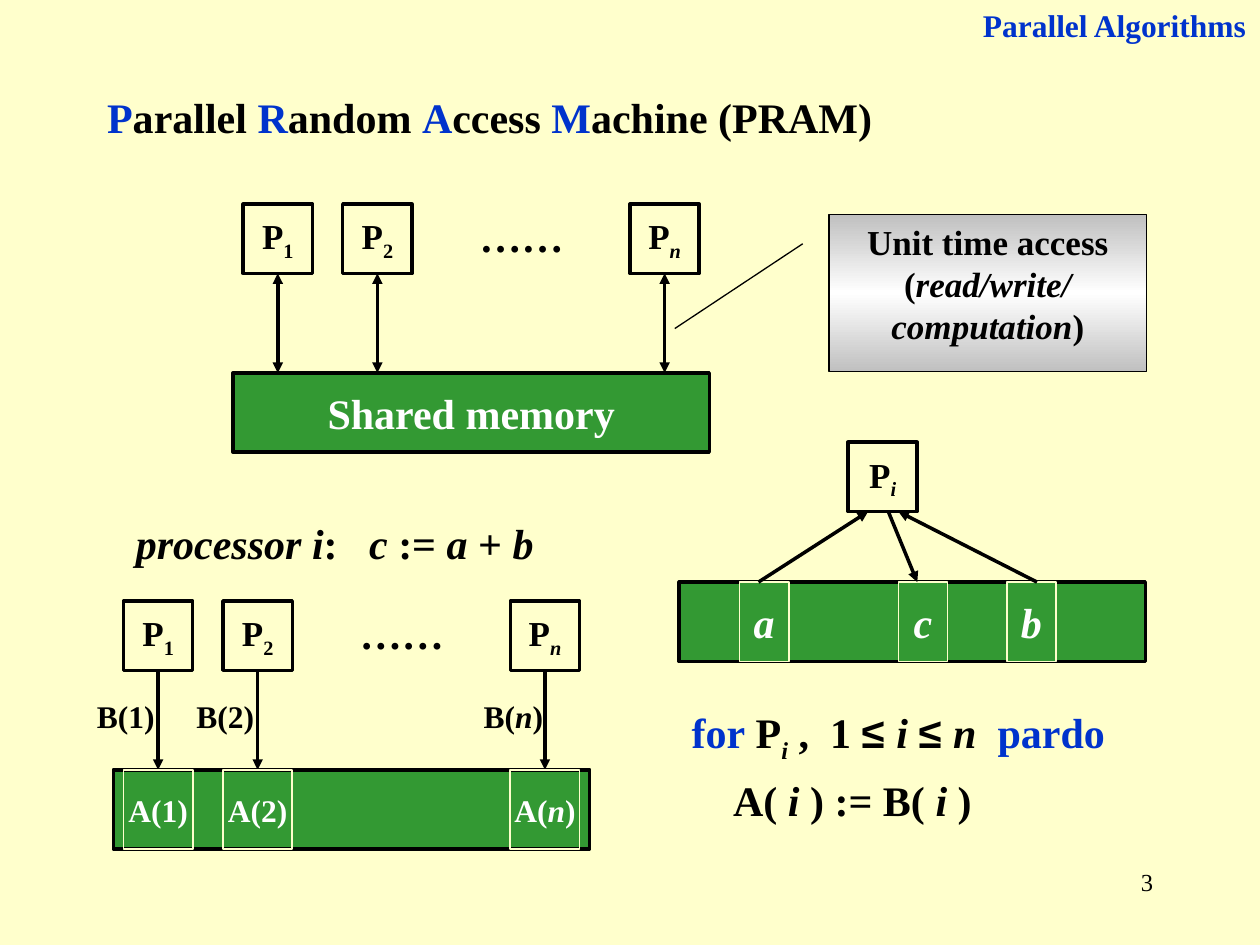
from copy import deepcopy
from dataclasses import dataclass

from lxml import etree
from pptx import Presentation
from pptx.dml.color import RGBColor
from pptx.enum import shapes, text
from pptx.oxml import ns
from pptx.util import Inches, Pt


@dataclass(frozen=True)
class Theme:
    """Colours, fonts and sizes of the slide."""
    paper: str = "FFFFCC"
    ink: str = "000000"
    key: str = "0033CC"
    memory: str = "339933"
    white: str = "FFFFFF"
    silver: str = "C0C0C0"
    font: str = "Times New Roman"
    math_font: str = "Arial"
    large: int = 24
    medium: int = 20
    small: int = 18
    number: int = 14
    thick: float = 2
    thin: float = 1
    hair: float = 0.75


T = Theme()
LEFT, CENTER, RIGHT = (text.PP_ALIGN.LEFT, text.PP_ALIGN.CENTER,
                       text.PP_ALIGN.RIGHT)
RECT = shapes.MSO_SHAPE.RECTANGLE

# Runs are (text, marks): i italic, s subscript, k key colour, m math font.
HEADER = [[("Parallel Algorithms", "k")]]
NUMBER = [[("3", "")]]
TITLE = [[("P", "k"), ("arallel ", ""), ("R", "k"), ("andom ", ""),
          ("A", "k"), ("ccess ", ""), ("M", "k"), ("achine (PRAM)", "")]]
CALLOUT = [[("Unit time access", "")],
           [("(", ""), ("read/write/", "i")],
           [("computation", "i"), (")", "")]]
STEP = [[("processor i", "i"), (":", ""), ("   c ", "i"), (":=", ""),
         (" a ", "i"), ("+", ""), (" b", "i")]]
LOOP = [[("for", "k"), (" P", ""), ("i", "is"), (" ,  1 ", ""), ("≤ ", "m"),
         ("i ", "i"), ("≤ ", "m"), ("n  ", "i"), ("pardo", "k")],
        [("A( ", ""), ("i ", "i"), (") := B( ", ""), ("i", "i"), (" )", "")]]
PROCESSORS = [("1", "", 0), ("2", "", 0.79), ("n", "i", 3.07)]  # index, marks, dx
# variable, cell left, arrow start, arrow end
VARIABLES = [("a", 5.87, (6.02, 4.62), (6.89, 4.06)),
             ("b", 7.99, (8.23, 4.62), (7.13, 4.06)),
             ("c", 7.13, (7.05, 4.06), (7.28, 4.62))]

BOX, MEM_W, MEM_H, MEM_DY = 0.55, 3.78, 0.63, 1.34

prs = Presentation()
prs.slide_width, prs.slide_height = Inches(10), Inches(7.5)
slide = prs.slides.add_slide(prs.slide_layouts[5])
slide.background.fill.solid()
slide.background.fill.fore_color.rgb = RGBColor.from_string(T.paper)


def write(s, paragraphs, size, color=T.ink, align=LEFT, bold=True,
          anchor=text.MSO_ANCHOR.TOP, wrap=True, before=0):
    """Fill a shape with paragraphs made of marked runs."""
    tf = s.text_frame
    tf.word_wrap, tf.vertical_anchor = wrap, anchor
    tf.auto_size = text.MSO_AUTO_SIZE.NONE
    for n, runs in enumerate(paragraphs):
        p = tf.add_paragraph() if n else tf.paragraphs[0]
        p.alignment, p.space_before = align, Pt(before)
        for words, marks in runs:
            r = p.add_run()
            r.text = words
            f = r.font
            f.name = T.math_font if "m" in marks else T.font
            f.size, f.bold, f.italic = Pt(size), bold, "i" in marks
            f.color.rgb = RGBColor.from_string(T.key if "k" in marks else color)
            if "s" in marks:
                r._r.get_or_add_rPr().set("baseline", "-25000")


def label(at, paragraphs, size, **style):
    """Add a text box."""
    s = slide.shapes.add_textbox(*map(Inches, at))
    write(s, paragraphs, size, **style)
    return s


def box(at, fill=None, line=T.ink, width=T.thick, kind=RECT):
    """Add an outlined shape, filled if a colour is given."""
    s = slide.shapes.add_shape(kind, *map(Inches, at))
    s.shadow.inherit = False
    if fill:
        s.fill.solid()
        s.fill.fore_color.rgb = RGBColor.from_string(fill)
    else:
        s.fill.background()
    s.line.color.rgb = RGBColor.from_string(line)
    s.line.width = Pt(width)
    return s


def middle(s, runs, size, color=T.ink):
    """Centre one line of text in a shape."""
    write(s, [runs], size, color, CENTER, anchor=text.MSO_ANCHOR.MIDDLE,
          wrap=False)


def processor(x, y, index, marks):
    """Add a processor box with its subscript."""
    middle(box((x, y, BOX, BOX)), [("P", ""), (index, marks + "s")], T.medium)


def arrow(start, end, both=False):
    """Add an arrow pointing at its end, or at both ends."""
    s = slide.shapes.add_connector(shapes.MSO_CONNECTOR.STRAIGHT,
                                   *map(Inches, start + end))
    s.line.color.rgb = RGBColor.from_string(T.ink)
    s.line.width = Pt(T.thick)
    ln = s.line._get_or_add_ln()
    for tag in ("a:headEnd", "a:tailEnd")[0 if both else 1:]:
        etree.SubElement(ln, ns.qn(tag), type="triangle")
    etree.SubElement(s._element.spPr, ns.qn("a:effectLst"))


def machine(x, y, both):
    """Add a row of processors over a memory bar; return the bar."""
    bar = box((x - 0.08, y + MEM_DY, MEM_W, MEM_H), T.memory)
    label((x + 1.58, y, 1.26, 0.5), [[("……", "")]], T.large, align=CENTER)
    for index, marks, dx in PROCESSORS:
        processor(x + dx, y, index, marks)
        mid = x + dx + BOX / 2
        arrow((mid, y + BOX), (mid, y + MEM_DY), both)
    return bar


def callout(at, paragraphs):
    """Add the callout with a silver and white gradient."""
    s = box(at, T.white, width=T.hair, kind=shapes.MSO_SHAPE.LINE_CALLOUT_1)
    for n, value in enumerate((0.188, -0.083, 0.726, -0.486)):
        s.adjustments[n] = value
    s.fill.gradient()
    s.fill.gradient_angle = 90
    stops = s._element.spPr.find(".//" + ns.qn("a:gsLst"))
    stops.append(deepcopy(stops[0]))
    for stop, place, color in zip(s.fill.gradient_stops, (0, 0.5, 1),
                                  (T.silver, T.white, T.silver)):
        stop.position = place
        stop.color.rgb = RGBColor.from_string(color)
    write(s, paragraphs, T.medium, align=CENTER)


title = slide.shapes.title
title.left, title.top, title.width, title.height = map(
    Inches, (0.75, 0.68, 7.64, 0.5))
write(title, TITLE, T.large)
label((7.36, 0, 2.63, 0.4), HEADER, T.small, align=RIGHT)
label((7.17, 6.83, 2.08, 0.5), NUMBER, T.number, align=RIGHT, bold=False)

shared = machine(1.93, 1.62, both=True)
middle(shared, [("Shared memory", "")], T.large, T.white)
callout((6.58, 1.7, 2.52, 1.25), CALLOUT)

label((0.98, 4.06, 3.78, 0.5), STEP, T.large)
processor(6.73, 3.51, "i", "i")
box((5.39, 4.62, 3.7, MEM_H), T.memory)
for name, x, start, end in VARIABLES:
    cell = box((x, 4.62, 0.39, MEM_H), T.memory, T.paper, T.thin)
    middle(cell, [(name, "i")], T.large, T.white)
    arrow(start, end)

left, top = 0.98, 4.77
machine(left, top, both=False)
for index, marks, dx in PROCESSORS:
    cell = box((left + dx, top + MEM_DY, BOX, MEM_H), None, T.paper, T.thin)
    middle(cell, [("A(", ""), (index, marks), (")", "")], T.small, T.white)
    label((left + dx - 0.31, top + 0.71, 0.71, 0.4),
          [[("B(", ""), (index, marks), (")", "")]], T.small)

loop = label((5.39, 5.56, 3.78, 1.04), LOOP, T.large, before=6)
loop.text_frame.paragraphs[1]._p.get_or_add_pPr().set("marL", str(Inches(0.33)))

prs.save("out.pptx")
